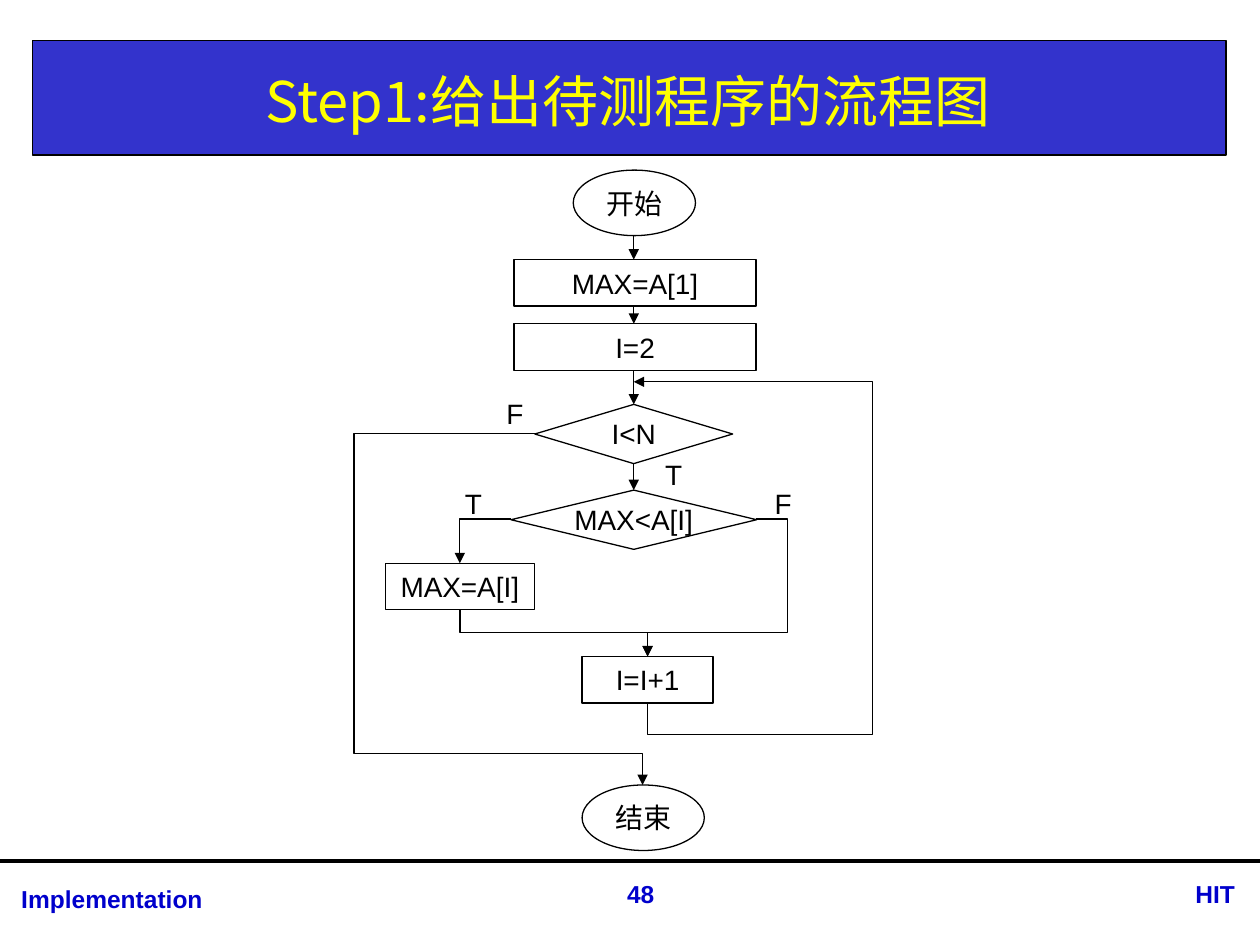
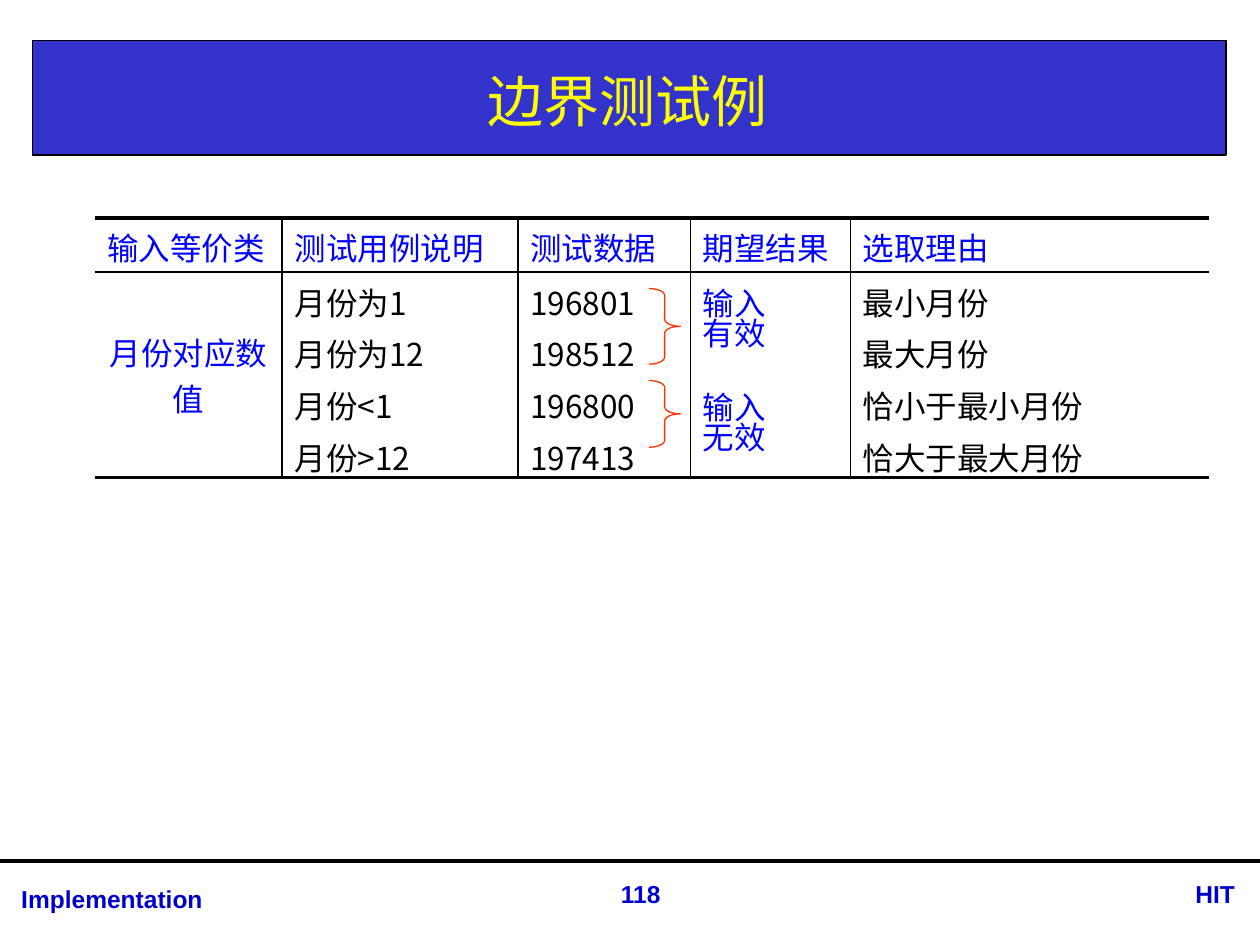
from lxml import etree
from pptx import Presentation
from pptx import util as u
from pptx.dml.color import RGBColor
from pptx.enum import shapes, text
from pptx.oxml import ns

HUES = {"band": "3333CC", "title": "FFFF00", "foot": "0000CC", "ink": "000000",
        "head": "0000FF", "brace": "FF3300", "paper": "FFFFFF"}
LATIN, HAN = "Arial", "Noto Sans CJK SC"
COLS, ROWS = 100, 75
KIND, ALIGN = shapes.MSO_SHAPE, text.PP_ALIGN
MID, TOP = text.MSO_ANCHOR.MIDDLE, text.MSO_ANCHOR.TOP
PLAIN = "{2D5ABB26-0587-4C30-8999-92F81FD0307C}"


def hue(name):
    return RGBColor.from_string(HUES[name])


def sub(node, tag, **attrs):
    return etree.SubElement(node, ns.qn(tag), **attrs)


class Deck:
    """Style and current slide; lengths are cells of a 100 by 75 grid."""

    def __init__(self):
        self.prs = Presentation()
        self.prs.slide_width, self.prs.slide_height = u.Inches(10), u.Inches(7.5)
        self.slide = None

    def x(self, col):
        return round(self.prs.slide_width * col / COLS)

    def y(self, row):
        return round(self.prs.slide_height * row / ROWS)

    def box(self, left, top, wide, high):
        return self.x(left), self.y(top), self.x(wide), self.y(high)

    def page(self, title, number):
        self.slide = self.prs.slides.add_slide(self.prs.slide_layouts[5])
        # Title band
        self.shape(KIND.RECTANGLE, (2.6, 3.2, 94.7, 9.1), fill="band")
        head = self.slide.shapes.title
        head.left, head.top, head.width, head.height = self.box(2.6, 3.6, 94.5, 8.7)
        head.element.getparent().append(head.element)
        self.fill(head.text_frame, title, 32, "title", HAN, anchor=MID)
        # Footer
        self.line((0, 68.3), (COLS, 68.3), 2.25)
        for words, spot, align in (("Implementation", (0.7, 69.7, 38.5, 3.4), ALIGN.LEFT),
                                   ("HIT", (88.7, 69.3, 10.3, 3.4), ALIGN.RIGHT),
                                   (str(number), (45.7, 69.3, 10.3, 3.4), ALIGN.CENTER)):
            self.label(words, spot, 14, "foot", align=align, bold=True)

    def fill(self, frame, words, size, color="ink", face=LATIN, align=ALIGN.CENTER,
             anchor=TOP, bold=False, gap=0, pitch=None):
        frame.text = words
        if anchor is not None:
            frame.word_wrap = True
            frame.vertical_anchor = anchor
        for i, para in enumerate(frame.paragraphs):
            para.alignment = align
            para.space_before = u.Pt(gap if i else 0)
            if pitch:
                para.line_spacing = pitch
            for run in para.runs:
                font = run.font
                font.size, font.bold, font.name = u.Pt(size), bold, face
                font.color.rgb = hue(color)
                sub(run._r.get_or_add_rPr(), "a:ea", typeface=face)

    def label(self, words, spot, size=16, color="ink", **style):
        note = self.slide.shapes.add_textbox(*self.box(*spot))
        self.fill(note.text_frame, words, size, color, **style)

    def shape(self, kind, spot, words="", face=LATIN, fill=None, edge="ink"):
        item = self.slide.shapes.add_shape(kind, *self.box(*spot))
        item.shadow.inherit = False
        if fill:
            item.fill.solid()
            item.fill.fore_color.rgb = hue(fill)
        else:
            item.fill.background()
        item.line.color.rgb = hue(edge)
        item.line.width = u.Pt(0.75)
        if words:
            self.fill(item.text_frame, words, 16, face=face, anchor=MID)
        return item

    def line(self, start, end, width=0.75, arrow=False, kind="STRAIGHT"):
        link = self.slide.shapes.add_connector(
            shapes.MSO_CONNECTOR[kind],
            self.x(start[0]), self.y(start[1]), self.x(end[0]), self.y(end[1]))
        link.line.color.rgb = hue("ink")
        link.line.width = u.Pt(width)
        if arrow:
            sub(link.line._get_or_add_ln(), "a:tailEnd", type="triangle")
        sub(link.element.spPr, "a:effectLst")
        return link

    def elbow(self, *stops):
        """Bent arrow through the stops, each leg level or upright."""
        (ax, ay), (bx, by) = start, end = stops[0], stops[-1]
        turn = ax == stops[1][0]
        if turn:  # lay the frame on its side, then rotate it a quarter
            mx, my, dx, dy = (ax + bx) / 2, (ay + by) / 2, (bx - ax) / 2, (by - ay) / 2
            link = self.line((mx - dy, my + dx), (mx + dy, my - dx), arrow=True, kind="ELBOW")
            link.element.spPr.find(ns.qn("a:xfrm")).set("rot", "5400000")
        else:
            link = self.line(start, end, arrow=True, kind="ELBOW")
        geom = link.element.spPr.find(ns.qn("a:prstGeom"))
        geom.set("prst", f"bentConnector{len(stops) - 1}")
        guides = geom.find(ns.qn("a:avLst"))
        for i, stop in enumerate(stops[1:-2]):
            axis = (i + turn) % 2
            share = (stop[axis] - start[axis]) / (end[axis] - start[axis])
            sub(guides, "a:gd", name=f"adj{i + 1}", fmla=f"val {round(share * 100000)}")

    def table(self, left, top, cols, rows, cells):
        frame = self.slide.shapes.add_table(
            len(rows), len(cols), *self.box(left, top, sum(cols), sum(rows)))
        grid = frame.table
        grid._tbl.tblPr.find(ns.qn("a:tableStyleId")).text = PLAIN
        grid.first_row = grid.horz_banding = False
        for col, wide in zip(grid.columns, cols):
            col.width = self.x(wide)
        for row, high in zip(grid.rows, rows):
            row.height = self.y(high)
        for r, line in enumerate(cells):
            for c, words in enumerate(line):
                cell = grid.cell(r, c)
                side = r > 0 and c == 0
                self.fill(cell.text_frame, words, 18, "head" if r == 0 or side else "ink",
                          HAN, ALIGN.CENTER if side else ALIGN.LEFT, None, gap=3.6)
                cell.vertical_anchor = MID if side else TOP
                self.rule(cell, L=1 if c else 0, R=1 if c < len(cols) - 1 else 0,
                          T=1 if r else 2.25, B=1 if r < len(rows) - 1 else 2.25)
                cell.fill.solid()
                cell.fill.fore_color.rgb = hue("paper")

    def rule(self, cell, **sides):
        props = cell._tc.get_or_add_tcPr()
        for side, width in sides.items():
            edge = sub(props, f"a:ln{side}", w=str(int(u.Pt(width))))
            if width:
                sub(sub(edge, "a:solidFill"), "a:srgbClr", val=HUES["ink"])
            else:
                sub(edge, "a:noFill")


def flow(deck):
    deck.page("Step1:给出待测程序的流程图", 48)
    axis = 50.3
    # Steps
    for words, spot in (("MAX=A[1]", (40.8, 20.6, 19.2, 3.7)),
                        ("I=2", (40.8, 25.7, 19.2, 3.7)),
                        ("MAX=A[I]", (30.6, 44.7, 11.8, 3.7)),
                        ("I=I+1", (46.2, 52.1, 10.4, 3.7))):
        deck.shape(KIND.RECTANGLE, spot, words)
    for words, left, top in (("开始", 45.5, 13.5), ("结束", 46.2, 62.3)):
        deck.shape(KIND.OVAL, (left, top, 9.7, 5.2), words, HAN)
    # Tests
    for words, top, wide in (("I<N", 32.1, 15.7), ("MAX<A[I]", 38.9, 19.5)):
        deck.shape(KIND.DIAMOND, (axis - wide / 2, top, wide, 4.7))
        deck.label(words, (axis - 6.2, top + 0.5, 12.4, 3.7))
    # Branch marks
    for words, left, top in (("F", 39.2, 31), ("F", 60.5, 38.1),
                             ("T", 35.9, 38.1), ("T", 51.8, 35.8)):
        deck.label(words, (left, top, 2.5, 3.7))
    # Straight arrows
    for top, end in ((18.7, 20.6), (24.3, 25.7), (29.4, 32.1), (36.8, 38.9)):
        deck.line((axis, top), (axis, end), arrow=True)
    # Bent arrows
    deck.elbow((42.5, 34.4), (28.1, 34.4), (28.1, 59.8), (51, 59.8), (51, 62.3))
    deck.elbow((40.6, 41.2), (36.5, 41.2), (36.5, 44.7))
    deck.elbow((36.5, 48.4), (36.5, 50.2), (51.4, 50.2), (51.4, 52.1))
    deck.elbow((60, 41.2), (62.5, 41.2), (62.5, 50.2), (51.4, 50.2), (51.4, 52.1))
    deck.elbow((51.4, 55.8), (51.4, 58.3), (69.3, 58.3), (69.3, 30.3),
               (axis, 30.3), (axis, 30.3))


def cases(deck):
    deck.page("边界测试例", 118)
    # Test cases
    deck.table(7.5, 17.3, (14.9, 18.7, 13.7, 12.7, 28.5), (4.3, 16.3), (
        ("输入等价类", "测试用例说明", "测试数据", "期望结果", "选取理由"),
        ("月份对应数值",
         "月份为1\n月份为12\n月份<1\n月份>12",
         "196801\n198512\n196800\n197413",
         "",
         "最小月份\n最大月份\n恰小于最小月份\n恰大于最大月份")))
    # Expected results
    for words, top, wide, fork, high in (("输入有效", 22.6, 7.5, 22.9, 6),
                                         ("输入无效", 30.9, 8.3, 30.2, 5.3)):
        brace = deck.shape(KIND.RIGHT_BRACE, (51.5, fork, 2.5, high), edge="brace")
        brace.adjustments[0] = 0.22
        deck.label(words, (54.8, top, wide, 7), 18, "head", face=HAN,
                   align=ALIGN.LEFT, pitch=0.8)


def main():
    deck = Deck()
    flow(deck)
    cases(deck)
    deck.prs.save("out.pptx")


if __name__ == "__main__":
    main()
